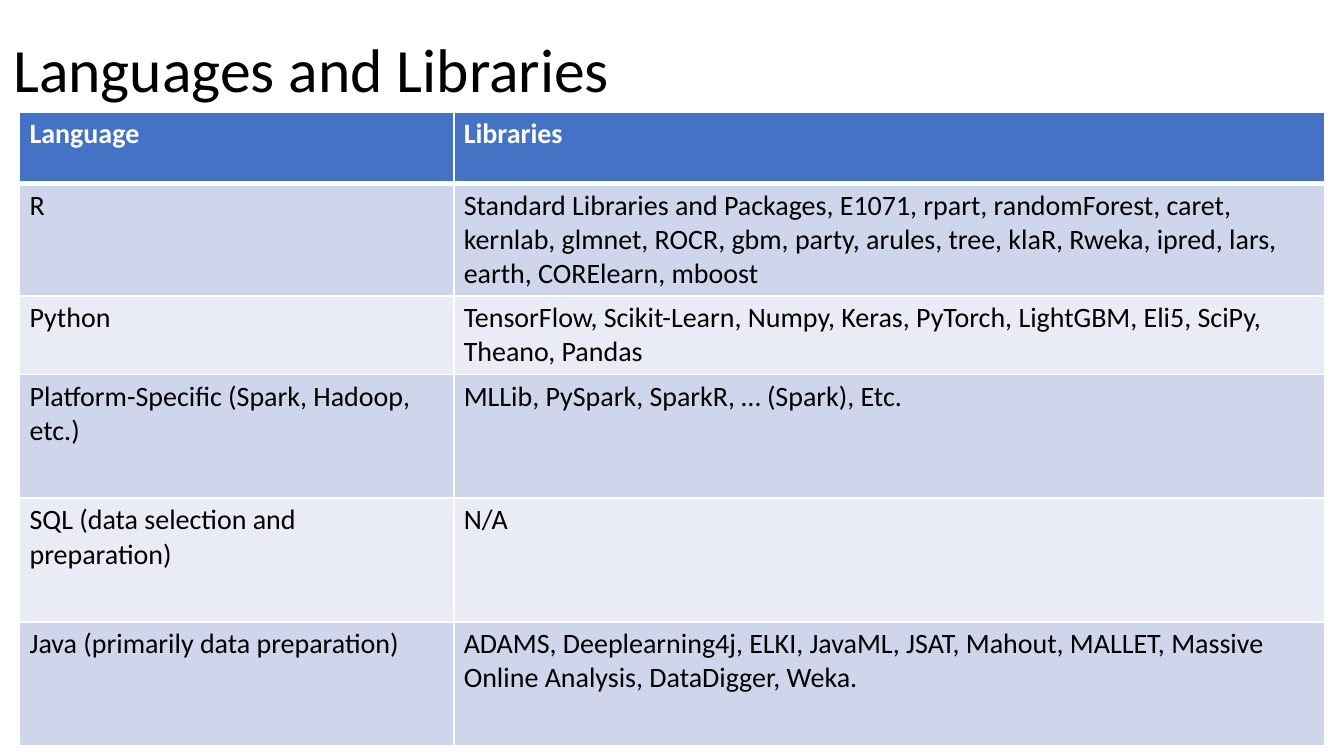
import pptx
import pptx.util
import pptx.dml.color
import pptx.enum.text
from lxml import etree

Pt = pptx.util.Pt
COLORS = {
    "header": "4472C4",
    "odd": "CFD5EA",
    "even": "E9EBF5",
    "white": "FFFFFF",
    "black": "000000",
}
DRAWING = "{http://schemas.openxmlformats.org/drawingml/2006/main}"


def write(frame, text, size=15, color="black", bold=False, spacing=None):
    frame.word_wrap = True
    paragraph = frame.paragraphs[0]
    paragraph.line_spacing = spacing
    run = paragraph.add_run()
    run.text = text
    run.font.name = "Calibri"
    run.font.size = Pt(size)
    run.font.bold = bold
    run.font.color.rgb = pptx.dml.color.RGBColor.from_string(COLORS[color])


def add_border(cell, side, width):
    line = etree.SubElement(cell._tc.get_or_add_tcPr(), DRAWING + side, w=str(Pt(width)))
    fill = etree.SubElement(line, DRAWING + "solidFill")
    etree.SubElement(fill, DRAWING + "srgbClr", val=COLORS["white"])


rows = [
    ("Language", "Libraries"),
    ("R", "Standard Libraries and Packages, E1071, rpart, randomForest, caret, kernlab, "
          "glmnet, ROCR, gbm, party, arules, tree, klaR, Rweka, ipred, lars, earth, "
          "CORElearn, mboost"),
    ("Python", "TensorFlow, Scikit-Learn, Numpy, Keras, PyTorch, LightGBM, Eli5, SciPy, "
               "Theano, Pandas"),
    ("Platform-Specific (Spark, Hadoop, etc.)", "MLLib, PySpark, SparkR, … (Spark), Etc."),
    ("SQL (data selection and preparation)", "N/A"),
    ("Java (primarily data preparation)",
     "ADAMS, Deeplearning4j, ELKI, JavaML, JSAT, Mahout, MALLET, Massive Online Analysis, "
     "DataDigger, Weka."),
]
column_widths = [232.6, 466.5]
row_heights = [38.4, 60.2, 42, 66.3, 66.3, 66.3]

deck = pptx.Presentation()
deck.slide_width, deck.slide_height = Pt(720), Pt(405)
slide = deck.slides.add_slide(deck.slide_layouts[6])

title = slide.shapes.add_textbox(Pt(0), Pt(0), Pt(620.6), Pt(78)).text_frame
title.vertical_anchor = pptx.enum.text.MSO_ANCHOR.MIDDLE
title.margin_left = title.margin_right = Pt(7.2)
title.margin_top = title.margin_bottom = Pt(3.6)
write(title, "Languages and Libraries", size=33, spacing=0.9)

libraries = slide.shapes.add_table(
    len(rows), len(column_widths), Pt(10.5), Pt(60),
    Pt(sum(column_widths)), Pt(sum(row_heights))).table
for column, width in zip(libraries.columns, column_widths):
    column.width = Pt(width)

for r, (entries, height) in enumerate(zip(rows, row_heights)):
    libraries.rows[r].height = Pt(height)
    is_header = r == 0
    band = "header" if is_header else "odd" if r % 2 else "even"
    borders = {"lnL": 1, "lnR": 1, "lnT": 3 if r == 1 else 1, "lnB": 3 if is_header else 1}
    for c, entry in enumerate(entries):
        cell = libraries.cell(r, c)
        cell.margin_left = cell.margin_right = Pt(5.4)
        cell.margin_top = cell.margin_bottom = Pt(2.7)
        for side, width in borders.items():
            add_border(cell, side, width)
        cell.fill.solid()
        cell.fill.fore_color.rgb = pptx.dml.color.RGBColor.from_string(COLORS[band])
        write(cell.text_frame, entry, color="white" if is_header else "black", bold=is_header)

deck.save("out.pptx")
